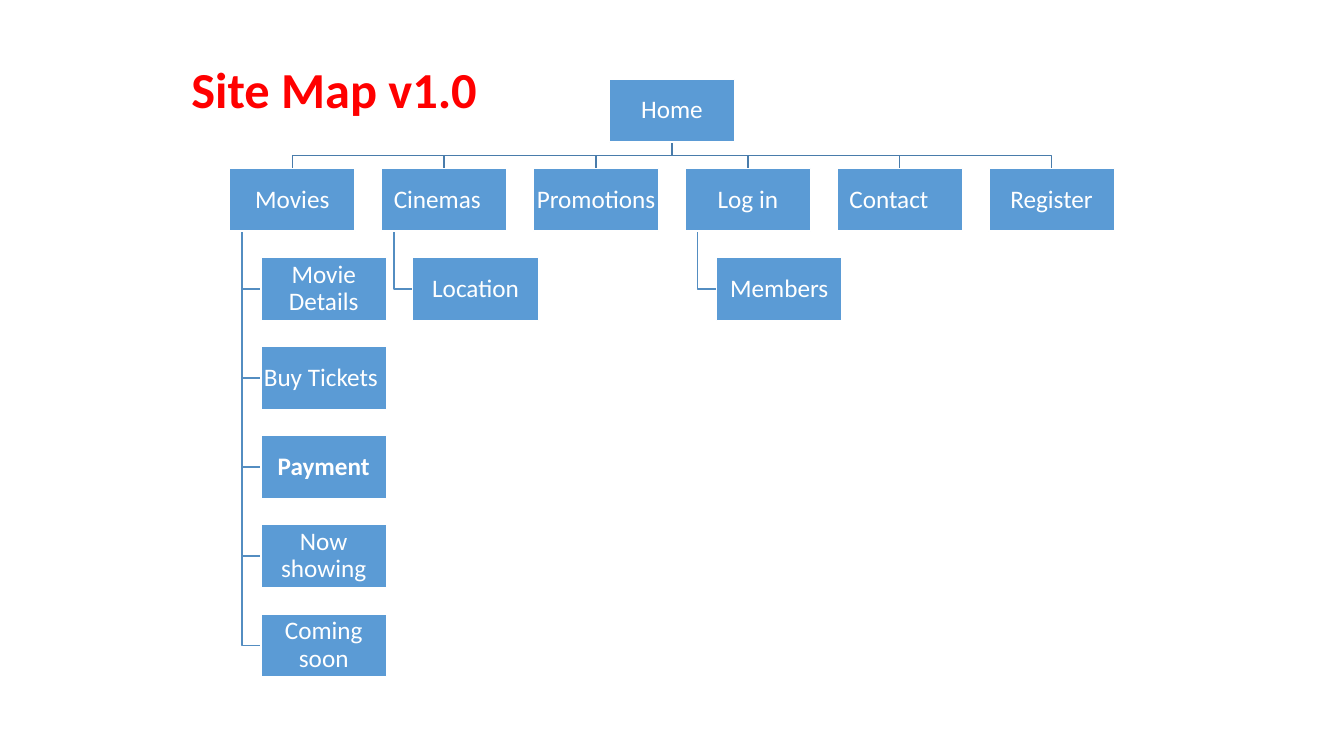
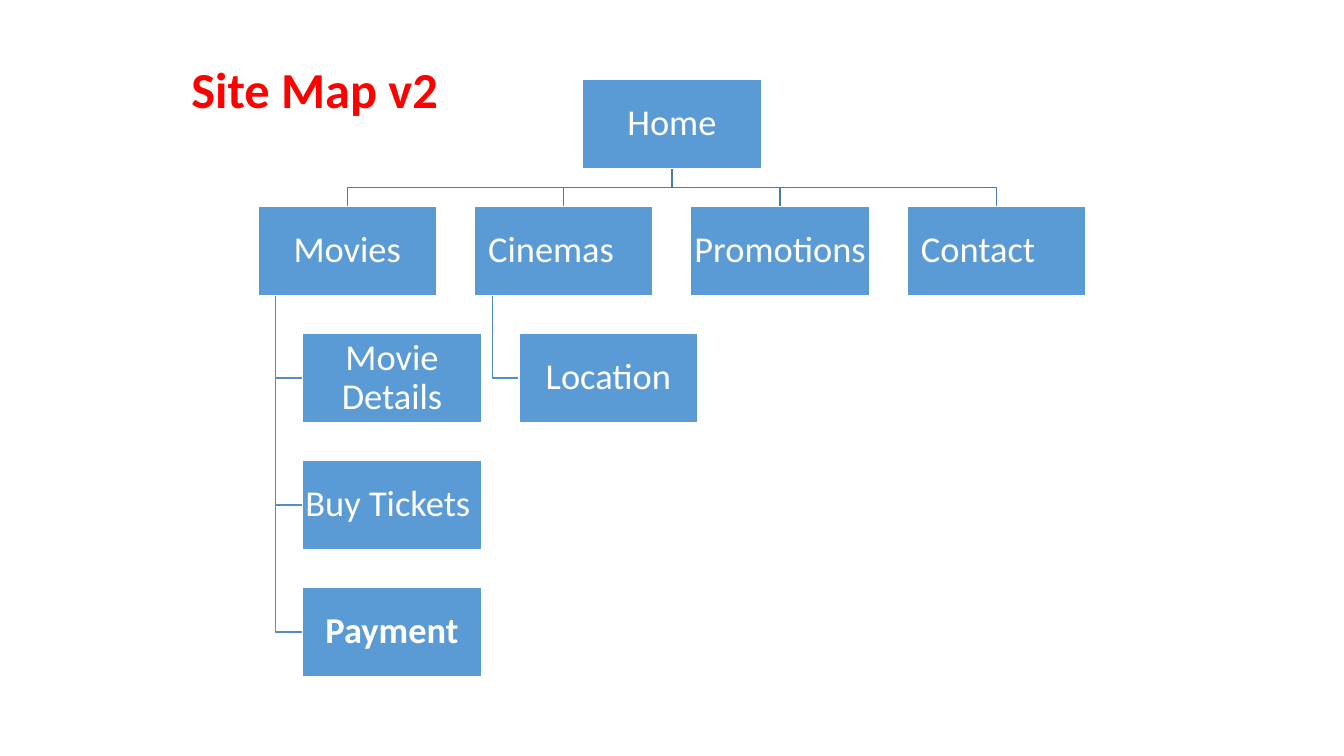
from dataclasses import dataclass

from pptx import Presentation
from pptx.dml.color import RGBColor
from pptx.enum.shapes import MSO_SHAPE
from pptx.enum.text import MSO_ANCHOR, MSO_AUTO_SIZE, PP_ALIGN
from pptx.shapes.autoshape import Shape
from pptx.slide import Slide
from pptx.text.text import _Paragraph
from pptx.util import Inches, Pt

RECT = MSO_SHAPE.RECTANGLE
MIDDLE = MSO_ANCHOR.MIDDLE
CENTER = PP_ALIGN.CENTER
GROW = MSO_AUTO_SIZE.SHAPE_TO_FIT_TEXT

HUES = {"title": "FF0000", "box": "5B9BD5", "text": "FFFFFF",
        "branch": "497CAB", "twig": "538DC1"}
FONT = "Calibri"
WIDE, HIGH = Inches(13.33), Inches(7.5)
TOP, TALL = 0.105 * HIGH, 0.79 * HIGH

# shares of one box width
RISE, GAP, INDENT, TRUNK, INSET = 0.5, 0.21, 0.25, 0.1, 0.01


@dataclass(frozen=True)
class Node:
    label: str
    kids: tuple["Node", ...] = ()
    bold: bool = False


@dataclass(frozen=True)
class Map:
    title: str
    size: int
    root: Node


@dataclass(frozen=True)
class Grid:
    cols: int
    rows: int

    @property
    def unit(self) -> float:
        return TALL / (self.rows * RISE + (self.rows - 1) * GAP)

    def left(self, col: float) -> float:
        return WIDE / 2 + self.unit * ((col - (self.cols - 1) / 2) * (1 + GAP) - 0.5)

    def top(self, row: int) -> float:
        return TOP + row * self.unit * (RISE + GAP)


def color(name: str) -> RGBColor:
    return RGBColor.from_string(HUES[name])


def add_run(para: _Paragraph, text: str, size: int, hue: str, bold: bool) -> None:
    run = para.add_run()
    run.text = text
    run.font.name = FONT
    run.font.size = Pt(size)
    run.font.bold = bold
    run.font.color.rgb = color(hue)


def add_title(slide: Slide, text: str) -> None:
    box = slide.shapes.add_textbox(
        int(0.135 * WIDE), int(0.07 * HIGH), int(0.617 * WIDE), int(0.094 * HIGH))
    box.text_frame.word_wrap = True
    box.text_frame.auto_size = GROW
    add_run(box.text_frame.paragraphs[0], text, 36, "title", True)


def add_path(slide: Slide, hue: str, *points: tuple[float, float]) -> None:
    spots = [(round(x), round(y)) for x, y in points]
    pen = slide.shapes.build_freeform(*spots[0])
    pen.add_line_segments(spots[1:], close=False)
    line = pen.convert_to_shape()
    line.shadow.inherit = False
    line.fill.background()
    line.line.color.rgb = color(hue)
    line.line.width = Pt(1)


def add_box(slide: Slide, node: Node, x: float, y: float, unit: float, size: int) -> Shape:
    box = slide.shapes.add_shape(RECT, int(x), int(y), int(unit), int(unit * RISE))
    box.shadow.inherit = False
    box.fill.solid()
    box.fill.fore_color.rgb = color("box")
    box.line.color.rgb = color("text")
    box.line.width = Pt(1)
    frame = box.text_frame
    frame.word_wrap = True
    frame.vertical_anchor = MIDDLE
    frame.margin_left = frame.margin_right = int(unit * INSET)
    frame.margin_top = frame.margin_bottom = int(unit * INSET)
    para = frame.paragraphs[0]
    para.alignment = CENTER
    para.line_spacing = 0.9
    add_run(para, node.label, size, "text", node.bold)
    return box


def add_map(slide: Slide, site: Map) -> None:
    pages = site.root.kids
    grid = Grid(len(pages), 2 + max(len(page.kids) for page in pages))
    unit = grid.unit
    half, fall = unit / 2, unit * RISE
    home = WIDE / 2
    bus = grid.top(1) - unit * GAP / 2
    spots = [(site.root, home - half, grid.top(0))]
    for col, page in enumerate(pages):
        x, y = grid.left(col), grid.top(1)
        spots.append((page, x, y))
        add_path(slide, "branch", (home, grid.top(0) + fall), (home, bus),
                 (x + half, bus), (x + half, y))
        stem = x + unit * TRUNK
        for row, kid in enumerate(page.kids, 2):
            edge, head = x + unit * INDENT, grid.top(row)
            spots.append((kid, edge, head))
            add_path(slide, "twig", (stem, y + fall), (stem, head + fall / 2),
                     (edge, head + fall / 2))
    for node, x, y in spots:
        add_box(slide, node, x, y, unit, site.size)
    add_title(slide, site.title)


SHOP = (Node("Movie Details"), Node("Buy Tickets "), Node("Payment", bold=True))
MORE = (Node("Now showing"), Node("Coming soon"))
PLACES = Node("Cinemas\t", (Node("Location"),))
DEALS = Node("Promotions")
CONTACT = Node("Contact\t")
MAPS = (
    Map("Site Map v1.0", 18, Node("Home", (
        Node("Movies", SHOP + MORE), PLACES, DEALS,
        Node("Log in", (Node("Members"),)), CONTACT, Node("Register")))),
    Map("Site Map v2", 26, Node("Home", (
        Node("Movies", SHOP), PLACES, DEALS, CONTACT))),
)

deck = Presentation()
deck.slide_width, deck.slide_height = WIDE, HIGH
for site in MAPS:
    add_map(deck.slides.add_slide(deck.slide_layouts[6]), site)
deck.save("out.pptx")
